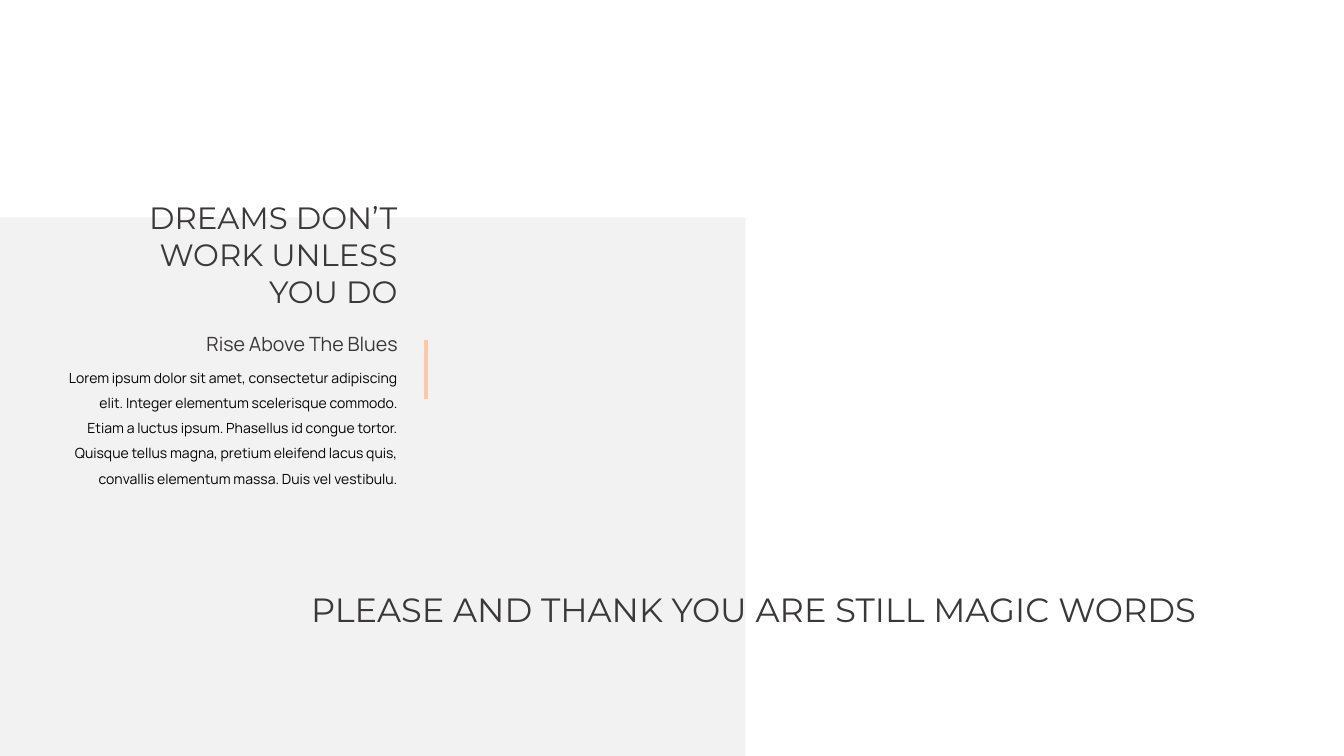
from dataclasses import dataclass

from lxml import etree
from pptx import Presentation
from pptx.dml.color import RGBColor
from pptx.enum.shapes import MSO_CONNECTOR, MSO_SHAPE
from pptx.enum.text import MSO_ANCHOR, MSO_AUTO_SIZE, PP_ALIGN
from pptx.oxml.ns import qn
from pptx.util import Cm, Pt

RECTANGLE = MSO_SHAPE.RECTANGLE
STRAIGHT = MSO_CONNECTOR.STRAIGHT
TOP = MSO_ANCHOR.TOP
NO_FIT = MSO_AUTO_SIZE.NONE
RIGHT = PP_ALIGN.RIGHT

GREY = RGBColor(0xF2, 0xF2, 0xF2)
CHARCOAL = RGBColor(0x3B, 0x38, 0x38)
BLACK = RGBColor(0, 0, 0)
PEACH = RGBColor(0xFC, 0xC8, 0xA8)

TITLE_ONLY = 5
COLUMN_RIGHT = 20.29
CLOSING_RIGHT = 60.53


@dataclass
class TextBlock:
    """Right-aligned text; lengths in cm, size in points."""
    text: str
    right: float
    top: float
    width: float
    height: float
    font: str
    size: int
    color: RGBColor = CHARCOAL
    line_spacing: float = 1.0


HEADING = TextBlock("DREAMS DON’T WORK UNLESS YOU DO",
                    COLUMN_RIGHT, 9.88, 15.44, 5.89, "Montserrat", 44)
BLOCKS = [
    TextBlock("Lorem ipsum dolor sit amet, consectetur adipiscing elit. "
              "Integer elementum scelerisque commodo. Etiam a luctus ipsum. "
              "Phasellus id congue tortor. Quisque tellus magna, pretium "
              "eleifend lacus quis, convallis elementum massa. "
              "Duis vel vestibulu.",
              COLUMN_RIGHT, 18.06, 17.47, 6.68, "Manrope", 20, BLACK, 1.5),
    TextBlock("Rise Above The Blues",
              COLUMN_RIGHT, 16.61, 13.49, 1.45, "Manrope", 28),
    TextBlock("PLEASE AND THANK YOU ARE STILL MAGIC WORDS",
              CLOSING_RIGHT, 29.57, 49.73, 2.31, "Montserrat", 48),
]


def apply_format(target: object, values: dict[str, object]) -> None:
    for name, value in values.items():
        setattr(target, name, value)


def fill_block(holder, block: TextBlock) -> None:
    """Place, fill and format a text box or placeholder."""
    apply_format(holder, {
        "left": Cm(block.right - block.width), "top": Cm(block.top),
        "width": Cm(block.width), "height": Cm(block.height)})
    frame = holder.text_frame
    frame.text = block.text
    apply_format(frame, {"word_wrap": True, "auto_size": NO_FIT,
                         "vertical_anchor": TOP})
    paragraph = frame.paragraphs[0]
    apply_format(paragraph, {"alignment": RIGHT,
                             "line_spacing": block.line_spacing})
    font = paragraph.runs[0].font
    apply_format(font, {"name": block.font, "size": Pt(block.size)})
    font.color.rgb = block.color


deck = Presentation()
apply_format(deck, {"slide_width": Cm(67.74), "slide_height": Cm(38.1)})
slide = deck.slides.add_slide(deck.slide_layouts[TITLE_ONLY])
shapes = slide.shapes

# Grey panel, behind the heading
panel = shapes.add_shape(RECTANGLE, 0, Cm(10.95), Cm(37.57), Cm(27.15))
panel.shadow.inherit = False
panel.fill.solid()
panel.fill.fore_color.rgb = GREY
panel.line.fill.background()
shapes.title.element.addprevious(panel.element)

# Heading, body, subheading and closing phrase
fill_block(shapes.title, HEADING)
for block in BLOCKS:
    fill_block(shapes.add_textbox(0, 0, 0, 0), block)

# Accent bar beside the column
accent = shapes.add_connector(STRAIGHT, Cm(21.49), Cm(17.12),
                              Cm(21.49), Cm(20.09))
accent.line.color.rgb = PEACH
accent.line.width = Pt(6)
etree.SubElement(accent.element.spPr, qn("a:effectLst"))

deck.save("out.pptx")
